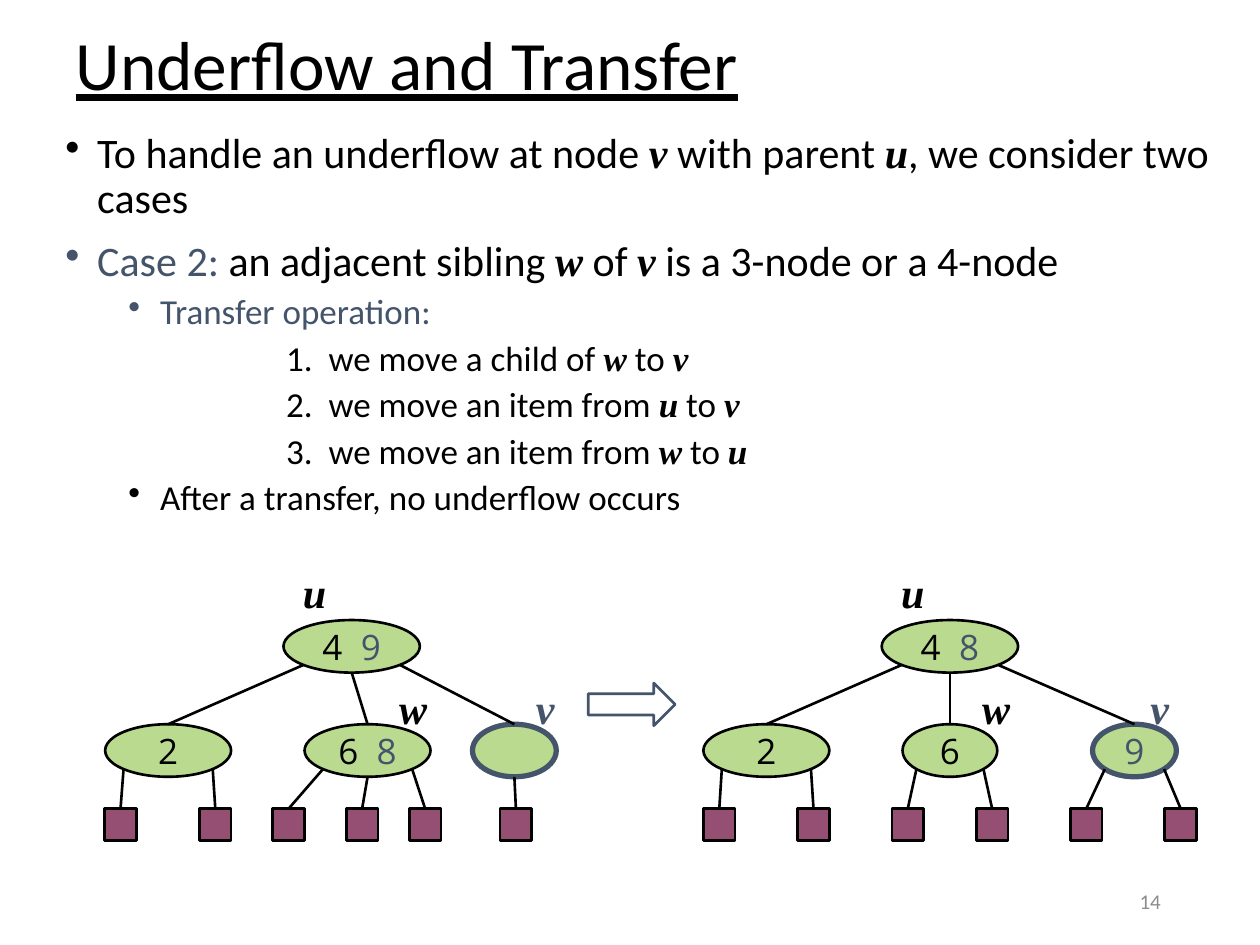
"""Builds the slide on underflow and transfer in a (2,4) tree."""
import dataclasses
import typing

import lxml.etree
import pptx
import pptx.dml.color
import pptx.enum.shapes
import pptx.enum.text
import pptx.oxml.ns
import pptx.util

Cm = pptx.util.Cm
Pt = pptx.util.Pt
RGBColor = pptx.dml.color.RGBColor
SHAPE = pptx.enum.shapes.MSO_SHAPE
ALIGN = pptx.enum.text.PP_ALIGN
ANCHOR = pptx.enum.text.MSO_ANCHOR
AUTO_SIZE = pptx.enum.text.MSO_AUTO_SIZE

BLACK = RGBColor(0x00, 0x00, 0x00)
SLATE = RGBColor(0x44, 0x54, 0x6A)
GREEN = RGBColor(0xB9, 0xDA, 0x8F)
PLUM = RGBColor(0x95, 0x4F, 0x72)
GREY = RGBColor(0x8C, 0x8C, 0x8C)

ROOT_TOP, CHILD_TOP, LEAF_TOP = 12.5, 14.6, 16.3
NODE_HEIGHT, LEAF_SIZE = 1.06, 0.64
DIAGONAL = 0.5 ** 0.5
EDGE_SIDES = {1: (0,), 2: (-1, 1), 3: (-1, 0, 1)}
VARIABLE = {"name": "Times New Roman", "bold": True, "italic": True}


@dataclasses.dataclass
class Node:
    center: float
    width: float
    kept: str = ""
    moved: str = ""
    leaves: tuple[float, ...] = ()
    outline: RGBColor = BLACK
    weight: float = 1.5


@dataclasses.dataclass
class Label:
    variable: str
    center: float
    top: float
    color: RGBColor = BLACK


@dataclasses.dataclass
class Tree:
    root: Node
    children: tuple[Node, ...]
    labels: tuple[Label, ...]


@dataclasses.dataclass
class Point:
    text: str
    lead: str = ""
    level: int = 0
    margin: float = 0.64
    bullet: bool = True


POINTS = (
    Point("To handle an underflow at node *v* with parent *u*, we consider two cases"),
    Point(" an adjacent sibling *w* of *v* is a 3-node or a 4-node", "Case 2:"),
    Point("", "Transfer operation:", 1, 1.91),
    Point("1.  we move a child of *w* to *v*", "", 1, 4.45, False),
    Point("2.  we move an item from *u* to *v*", "", 1, 4.45, False),
    Point("3.  we move an item from *w* to *u*", "", 1, 4.45, False),
    Point("After a transfer, no underflow occurs", "", 1, 1.91),
)

TREES = (
    Tree(
        Node(7.09, 2.75, "4  ", "9"),
        (
            Node(3.39, 2.54, "2", leaves=(2.43, 4.34)),
            Node(7.41, 2.54, "6  ", "8", (5.82, 7.3, 8.57)),
            Node(10.37, 1.69, leaves=(10.4,), outline=SLATE, weight=3),
        ),
        (Label("u", 6.34, 11.43), Label("w", 8.33, 13.76), Label("v", 10.99, 13.76, SLATE)),
    ),
    Tree(
        Node(19.15, 2.75, "4  ", "8"),
        (
            Node(15.45, 2.54, "2", leaves=(14.5, 16.4)),
            Node(19.15, 1.91, "6", leaves=(18.3, 20.0)),
            Node(22.87, 1.69, "", "9", (21.9, 23.8), SLATE, 3),
        ),
        (Label("u", 18.4, 11.43), Label("w", 20.08, 13.76), Label("v", 23.38, 13.76, SLATE)),
    ),
)


def apply(target: typing.Any, formats: dict[str, typing.Any]) -> None:
    """Set every named attribute on the target."""
    for attribute, value in formats.items():
        setattr(target, attribute, value)


def add_run(paragraph, text: str, size: float, color: RGBColor, **font) -> None:
    """Append a formatted run, skipping empty text."""
    if text:
        run = paragraph.add_run()
        run.text = text
        apply(run.font, {"name": "Calibri", "size": Pt(size), **font})
        run.font.color.rgb = color


def add_box(slide, left: float, top: float, width: float, height: float, **frame):
    """Add a text box and return its text frame."""
    box = slide.shapes.add_textbox(Cm(left), Cm(top), Cm(width), Cm(height))
    apply(box.text_frame, {"word_wrap": True, **frame})
    return box.text_frame


def add_outlined(slide, kind, left: float, top: float, width: float, height: float,
                 fill: RGBColor | None, outline: RGBColor = BLACK, weight: float = 1.5):
    """Add a preset shape with a plain fill and outline."""
    shape = slide.shapes.add_shape(kind, Cm(left), Cm(top), Cm(width), Cm(height))
    shape.shadow.inherit = False
    if fill is None:
        shape.fill.background()
    else:
        shape.fill.solid()
        shape.fill.fore_color.rgb = fill
    shape.line.color.rgb = outline
    shape.line.width = Pt(weight)
    return shape


def add_edge(slide, parent: Node, parent_top: float, side: int, x: float, y: float) -> None:
    """Join the lower rim of a parent to the top of its child."""
    reach = DIAGONAL if side else 1
    start_x = parent.center + side * DIAGONAL * parent.width / 2
    start_y = parent_top + NODE_HEIGHT / 2 * (1 + reach)
    edge = slide.shapes.add_connector(
        pptx.enum.shapes.MSO_CONNECTOR.STRAIGHT, Cm(start_x), Cm(start_y), Cm(x), Cm(y))
    edge.line.color.rgb = BLACK
    edge.line.width = Pt(1.5)
    lxml.etree.SubElement(edge._element.spPr, pptx.oxml.ns.qn("a:effectLst"))


def add_node(slide, node: Node, top: float) -> None:
    """Draw a tree node with its keys."""
    oval = add_outlined(slide, SHAPE.OVAL, node.center - node.width / 2, top,
                        node.width, NODE_HEIGHT, GREEN, node.outline, node.weight)
    apply(oval.text_frame, {"word_wrap": False, "vertical_anchor": ANCHOR.MIDDLE})
    keys = oval.text_frame.paragraphs[0]
    keys.alignment = ALIGN.CENTER
    add_run(keys, node.kept, 20, BLACK, name="Open Sans")
    add_run(keys, node.moved, 20, SLATE, name="Open Sans")


def add_tree(slide, tree: Tree) -> None:
    """Draw a tree with its edges, leaves and labels."""
    add_node(slide, tree.root, ROOT_TOP)
    for root_side, child in zip(EDGE_SIDES[len(tree.children)], tree.children):
        add_node(slide, child, CHILD_TOP)
        add_edge(slide, tree.root, ROOT_TOP, root_side, child.center, CHILD_TOP)
        for side, leaf in zip(EDGE_SIDES[len(child.leaves)], child.leaves):
            add_outlined(slide, SHAPE.RECTANGLE, leaf - LEAF_SIZE / 2, LEAF_TOP,
                         LEAF_SIZE, LEAF_SIZE, PLUM)
            add_edge(slide, child, CHILD_TOP, side, leaf, LEAF_TOP)
    for label in tree.labels:
        frame = add_box(slide, label.center - 0.3, label.top, 0.6, 1.02, word_wrap=False,
                        margin_left=0, margin_right=0, margin_top=0, margin_bottom=0)
        frame.paragraphs[0].alignment = ALIGN.CENTER
        add_run(frame.paragraphs[0], label.variable, 24, label.color, **VARIABLE)


def add_points(slide) -> None:
    """Write the explanation above the trees."""
    frame = add_box(slide, 1.07, 2.54, 23.7, 8.89)
    for index, point in enumerate(POINTS):
        paragraph = frame.add_paragraph() if index else frame.paragraphs[0]
        size, before = (20, 5) if point.level else (24, 10)
        apply(paragraph, {"level": point.level, "line_spacing": 0.9, "space_before": Pt(before)})
        properties = paragraph._p.get_or_add_pPr()
        properties.set("marL", str(Cm(point.margin)))
        properties.set("indent", str(Cm(-0.64) if point.bullet else 0))
        if point.bullet:
            lxml.etree.SubElement(properties, pptx.oxml.ns.qn("a:buChar")).set("char", "•")
        add_run(paragraph, point.lead, size, SLATE)
        for position, part in enumerate(point.text.split("*")):
            add_run(paragraph, part, size, BLACK, **(VARIABLE if position % 2 else {}))


def main() -> None:
    """Build and save the slide."""
    deck = pptx.Presentation()
    apply(deck, {"slide_width": Cm(25.4), "slide_height": Cm(19.05)})
    slide = deck.slides.add_slide(deck.slide_layouts.get_by_name("Title Only"))
    title = slide.shapes.title
    apply(title, {"left": Cm(1.27), "top": Cm(0.43), "width": Cm(22.86), "height": Cm(1.88)})
    apply(title.text_frame, {"vertical_anchor": ANCHOR.MIDDLE, "auto_size": AUTO_SIZE.NONE})
    heading = title.text_frame.paragraphs[0]
    apply(heading, {"alignment": ALIGN.LEFT, "line_spacing": 0.9})
    add_run(heading, "Underflow and Transfer", 39.6, BLACK, underline=True)
    add_points(slide)
    number = add_box(slide, 17.93, 17.65, 5.72, 1.02, vertical_anchor=ANCHOR.MIDDLE)
    number.paragraphs[0].alignment = ALIGN.RIGHT
    add_run(number.paragraphs[0], "14", 12, GREY)
    for tree in TREES:
        add_tree(slide, tree)
    add_outlined(slide, SHAPE.RIGHT_ARROW, 11.86, 13.77, 1.75, 0.86, None, SLATE)
    deck.save("out.pptx")


if __name__ == "__main__":
    main()
